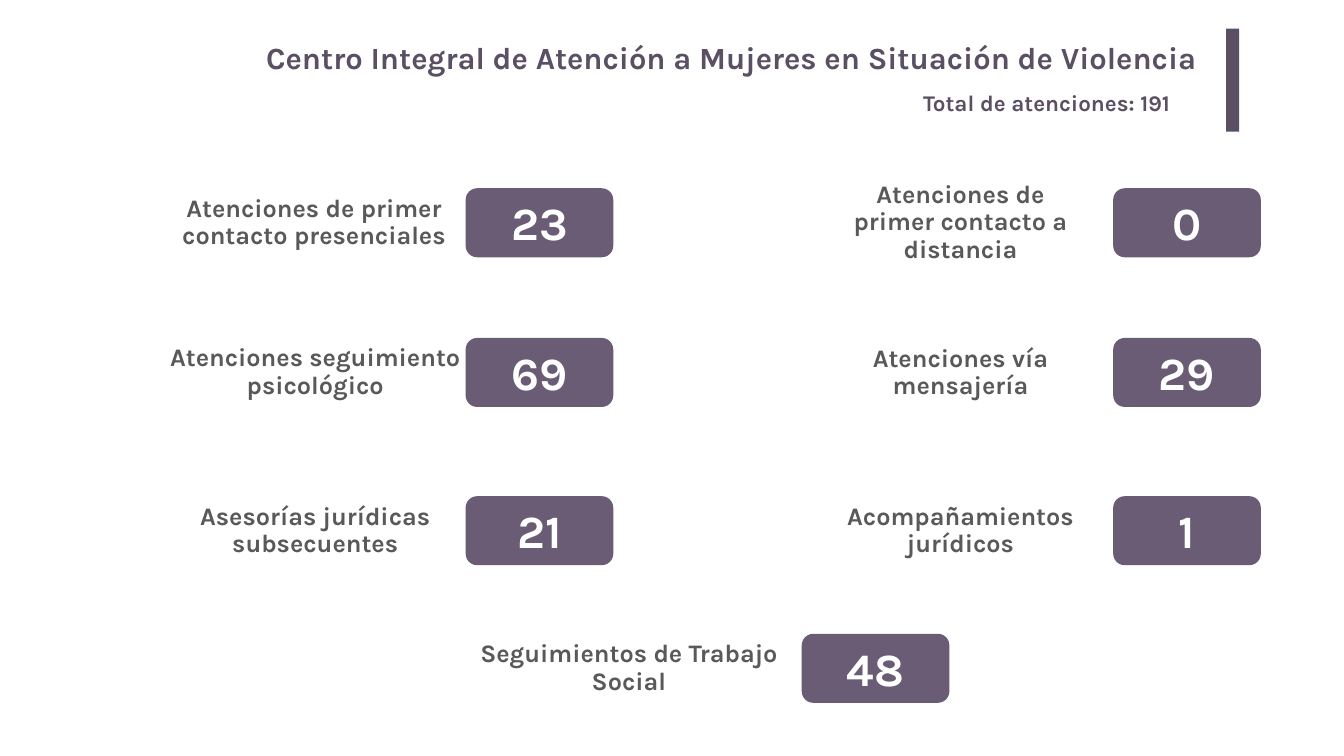
import pptx
import pptx.util
import pptx.dml.color
import pptx.enum.shapes
import pptx.enum.text
from dataclasses import dataclass

Inches = pptx.util.Inches
RGBColor = pptx.dml.color.RGBColor
Shape = pptx.enum.shapes.MSO_SHAPE
Align = pptx.enum.text.PP_ALIGN
Anchor = pptx.enum.text.MSO_ANCHOR

DARK = RGBColor(0x5B, 0x4F, 0x63)
PLUM = RGBColor(0x6A, 0x5C, 0x74)
GRAY = RGBColor(0x59, 0x59, 0x59)
WHITE = RGBColor(0xFF, 0xFF, 0xFF)
FONT = "Karla"

# Pill columns, row centres and sizes, in inches
LEFT, RIGHT, LAST = 9.24, 22.09, 15.91
ROWS = (4.42, 7.39, 10.53, 13.26)
PILL_W, PILL_H = 2.93, 1.37
NUM_W, NUM_H = 2.04, 1.21


@dataclass
class Box:
    left: float
    top: float
    width: float
    height: float

    def lengths(self) -> list:
        return [Inches(n) for n in (self.left, self.top, self.width, self.height)]


@dataclass
class Card:
    label: str
    count: int
    pill: float  # left edge of the pill
    mid: float  # centre line of the row
    left: float  # label box
    width: float
    height: float


CARDS = (
    Card("Atenciones de primer contacto presenciales", 23, LEFT, ROWS[0], 3.49, 5.48, 1.37),
    Card("Atenciones de primer contacto a distancia", 0, RIGHT, ROWS[0], 16.48, 5.16, 1.21),
    Card("Atenciones seguimiento psicológico", 69, LEFT, ROWS[1], 2.35, 7.81, 0.53),
    Card("Atenciones vía mensajería", 29, RIGHT, ROWS[1], 16.1, 5.92, 1.05),
    Card("Asesorías jurídicas subsecuentes", 21, LEFT, ROWS[2], 3.23, 6.05, 0.8),
    Card("Acompañamientos jurídicos", 1, RIGHT, ROWS[2], 15.83, 6.46, 0.64),
    Card("Seguimientos de Trabajo Social", 48, LAST, ROWS[3], 9.24, 6.48, 1.41),
)


def add_text(slide, box: Box, text: str, size: int, color: RGBColor,
             align=Align.CENTER, anchor=Anchor.TOP, space: float = 1.0,
             pad: float = 0.1) -> None:
    frame = slide.shapes.add_textbox(*box.lengths()).text_frame
    frame.word_wrap = True
    frame.vertical_anchor = anchor
    frame.margin_left = frame.margin_right = Inches(pad)
    frame.margin_top = frame.margin_bottom = Inches(pad / 2)
    frame.text = text
    para = frame.paragraphs[0]
    para.alignment = align
    para.line_spacing = space
    font = para.runs[0].font
    font.name = FONT
    font.size = pptx.util.Pt(size)
    font.bold = True
    font.color.rgb = color


def add_block(slide, kind, box: Box, color: RGBColor):
    block = slide.shapes.add_shape(kind, *box.lengths())
    block.shadow.inherit = False
    block.fill.solid()
    block.fill.fore_color.rgb = color
    block.line.fill.background()
    return block


def add_card(slide, card: Card) -> None:
    # Label, centred on the row
    label = Box(card.left, card.mid - card.height / 2, card.width, card.height)
    add_text(slide, label, card.label, 36, GRAY, anchor=Anchor.MIDDLE, space=0.9)
    # Pill and its count
    pill = Box(card.pill, card.mid - PILL_H / 2, PILL_W, PILL_H)
    add_block(slide, Shape.ROUNDED_RECTANGLE, pill, PLUM)
    count = Box(card.pill + (PILL_W - NUM_W) / 2, card.mid - NUM_H / 2, NUM_W, NUM_H)
    add_text(slide, count, str(card.count), 66, WHITE)


def main() -> None:
    deck = pptx.Presentation()
    deck.slide_width = Inches(26.67)
    deck.slide_height = Inches(15)
    slide = deck.slides.add_slide(deck.slide_layouts[6])

    # Heading
    add_text(slide, Box(3.66, 0.67, 20.3, 1.02),
             "Centro Integral de Atención a Mujeres en Situación de Violencia",
             44, DARK, align=Align.RIGHT, pad=0.2)
    add_block(slide, Shape.RECTANGLE, Box(24.33, 0.57, 0.26, 2.04), DARK)
    total = sum(card.count for card in CARDS)
    add_text(slide, Box(18.22, 1.71, 5.92, 0.64),
             f"Total de atenciones: {total}", 32, DARK, align=Align.LEFT)

    # Counts by service
    for card in CARDS:
        add_card(slide, card)

    deck.save("out.pptx")


if __name__ == "__main__":
    main()
